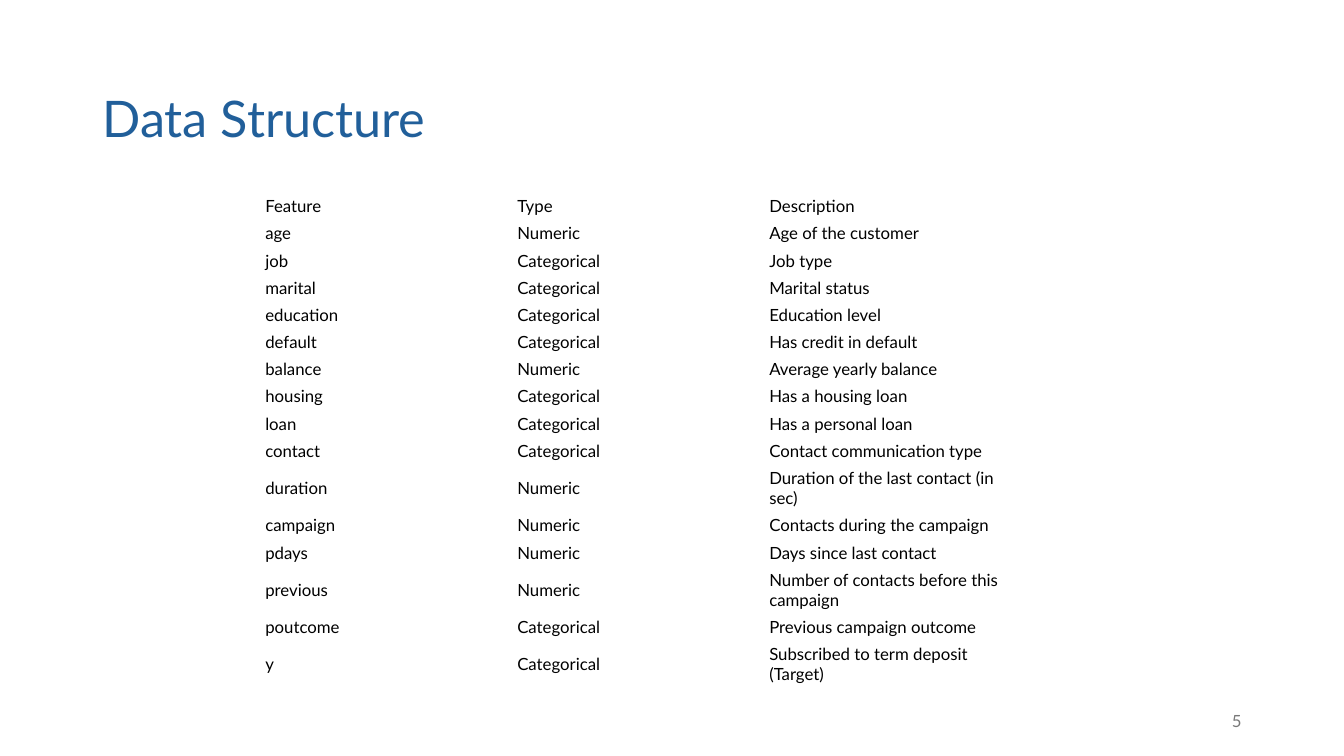
"""Builds the data structure slide: a title, a feature table and a page number."""
from dataclasses import dataclass

from pptx import Presentation
from pptx.dml.color import RGBColor as RGB
from pptx.enum.text import MSO_ANCHOR as ANCHOR, PP_ALIGN as ALIGN
from pptx.util import Emu, Pt

TITLE = "Data Structure"
PAGE = "5"
HEADER = ("Feature", "Type", "Description")
FEATURES = [
    ("age", "Numeric", "Age of the customer"),
    ("job", "Categorical", "Job type"),
    ("marital", "Categorical", "Marital status"),
    ("education", "Categorical", "Education level"),
    ("default", "Categorical", "Has credit in default"),
    ("balance", "Numeric", "Average yearly balance"),
    ("housing", "Categorical", "Has a housing loan"),
    ("loan", "Categorical", "Has a personal loan"),
    ("contact", "Categorical", "Contact communication type"),
    ("duration", "Numeric", "Duration of the last contact (in sec)"),
    ("campaign", "Numeric", "Contacts during the campaign"),
    ("pdays", "Numeric", "Days since last contact"),
    ("previous", "Numeric", "Number of contacts before this campaign"),
    ("poutcome", "Categorical", "Previous campaign outcome"),
    ("y", "Categorical", "Subscribed to term deposit (Target)"),
]
TWO_LINE_FEATURES = {"duration", "previous", "y"}

SLIDE_SIZE = (1920, 1080)
TITLE_BOX = (132, 107, 1637, 132)
PAGE_BOX = (1356, 1001, 432, 58)
TABLE_LEFT, TABLE_TOP = 369, 275
COL_W, ROW_H, TALL_ROW_H = 360, 38, 67
CELL_PAD_X, CELL_PAD_Y = 10, 5


@dataclass(frozen=True)
class Theme:
    font: str = "Lato"
    title: RGB = RGB(0x21, 0x5F, 0x9A)
    text: RGB = RGB(0, 0, 0)
    page: RGB = RGB(0x79, 0x79, 0x79)
    title_size: int = 36
    text_size: int = 12


THEME = Theme()


def px(n):
    return Emu(n * 6350)


def write(tf, text, size, color, align=ALIGN.LEFT):
    p = tf.paragraphs[0]
    p.alignment = align
    r = p.add_run()
    r.text = text
    r.font.name = THEME.font
    r.font.size = Pt(size)
    r.font.color.rgb = color
    return p


def add_title(slide):
    sp = slide.shapes.title
    sp.left, sp.top, sp.width, sp.height = map(px, TITLE_BOX)
    tf = sp.text_frame
    tf.vertical_anchor = ANCHOR.MIDDLE
    p = write(tf, TITLE, THEME.title_size, THEME.title)
    p.line_spacing = 0.9


def add_feature_table(slide):
    rows = [HEADER, *FEATURES]
    heights = [TALL_ROW_H if row[0] in TWO_LINE_FEATURES else ROW_H for row in rows]
    box = (TABLE_LEFT, TABLE_TOP, COL_W * len(HEADER), sum(heights))
    table = slide.shapes.add_table(len(rows), len(HEADER), *map(px, box)).table
    table.first_row = table.horz_banding = False
    for col in table.columns:
        col.width = px(COL_W)
    for i, (row, height) in enumerate(zip(rows, heights)):
        table.rows[i].height = px(height)
        for j, text in enumerate(row):
            cell = table.cell(i, j)
            cell.fill.background()
            cell.vertical_anchor = ANCHOR.MIDDLE
            cell.margin_left = cell.margin_right = px(CELL_PAD_X)
            cell.margin_top = cell.margin_bottom = px(CELL_PAD_Y)
            write(cell.text_frame, text, THEME.text_size, THEME.text)


def add_page_number(slide):
    tf = slide.shapes.add_textbox(*map(px, PAGE_BOX)).text_frame
    tf.word_wrap = True
    tf.vertical_anchor = ANCHOR.MIDDLE
    write(tf, PAGE, THEME.text_size, THEME.page, ALIGN.RIGHT)


def main():
    prs = Presentation()
    prs.slide_width, prs.slide_height = map(px, SLIDE_SIZE)
    slide = prs.slides.add_slide(prs.slide_layouts[5])
    add_title(slide)
    add_feature_table(slide)
    add_page_number(slide)
    prs.save("out.pptx")


if __name__ == "__main__":
    main()
